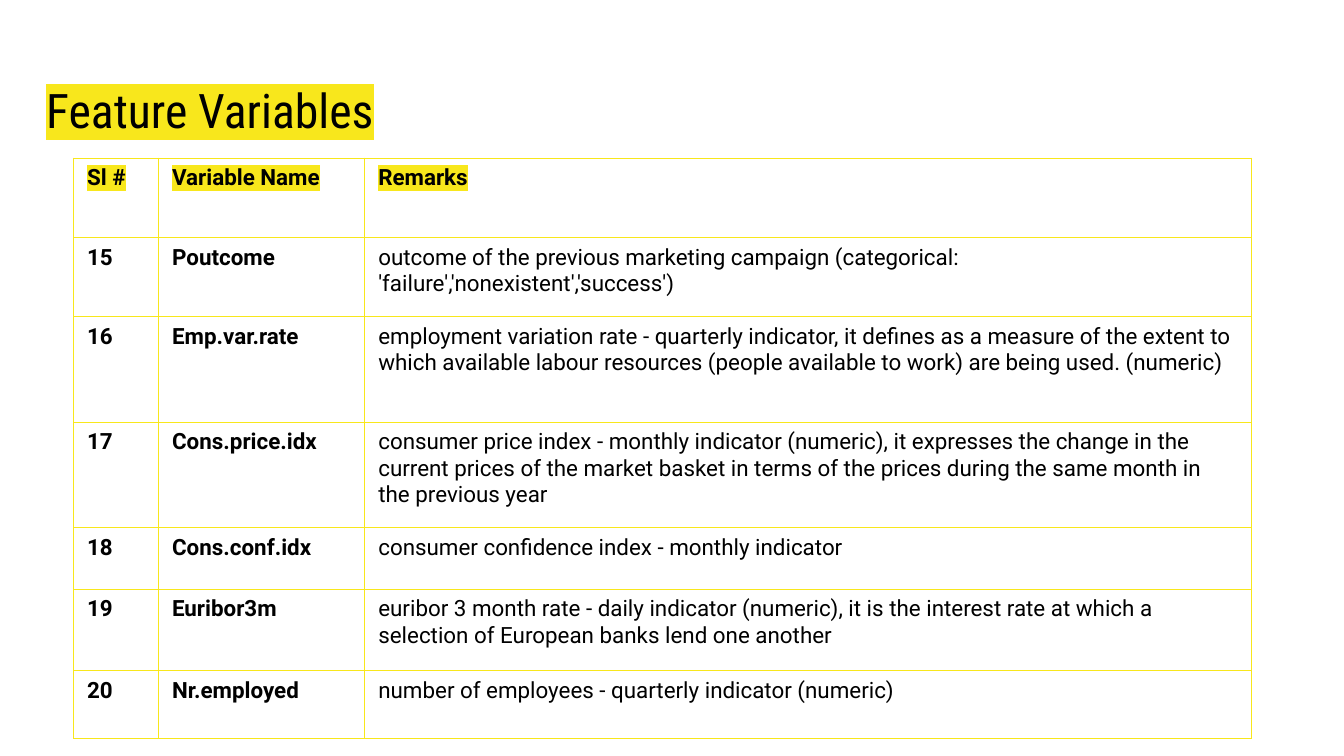
"""Build the Feature Variables slide with its table of remarks."""
from dataclasses import dataclass
from typing import NamedTuple

from lxml.etree import SubElement
from pptx import Presentation
from pptx.dml.color import RGBColor
from pptx.enum.text import MSO_ANCHOR, MSO_AUTO_SIZE, PP_ALIGN
from pptx.oxml.ns import qn
from pptx.slide import Slide
from pptx.table import _Cell
from pptx.text.text import _Paragraph
from pptx.util import Pt


@dataclass(frozen=True)
class Theme:
    ink: str = "000000"
    accent: str = "F8E71C"
    title_font: str = "Roboto Condensed"
    body_font: str = "Roboto"
    title_size: float = 25.5
    body_size: float = 12
    border_width: float = 0.75


class Feature(NamedTuple):
    number: str
    name: str
    remarks: str
    height: float


THEME = Theme()
COLUMN_WIDTHS = (45.5, 110.5, 475)
TABLE_LEFT, TABLE_TOP = 39.5, 84.75
FEATURES = (
    Feature("Sl #", "Variable Name", "Remarks", 42.5),
    Feature("15", "Poutcome",
            "outcome of the previous marketing campaign (categorical: "
            "'failure','nonexistent','success')", 42.5),
    Feature("16", "Emp.var.rate",
            "employment variation rate - quarterly indicator, it defines as a measure "
            "of the extent to which available labour resources (people available to "
            "work) are being used. (numeric)", 56.5),
    Feature("17", "Cons.price.idx",
            "consumer price index - monthly indicator (numeric), it expresses the "
            "change in the current prices of the market basket in terms of the prices "
            "during the same month in the previous year", 56.5),
    Feature("18", "Cons.conf.idx", "consumer confidence index - monthly indicator", 33),
    Feature("19", "Euribor3m",
            "euribor 3 month rate - daily indicator (numeric), it is the interest rate "
            "at which a selection of European banks lend one another", 43.5),
    Feature("20", "Nr.employed", "number of employees - quarterly indicator (numeric)", 36.5),
)


def format_text(paragraph: _Paragraph, font_name: str, size: float,
                bold: bool, highlighted: bool) -> None:
    """Style every run of a left-aligned paragraph."""
    paragraph.alignment = PP_ALIGN.LEFT
    for run in paragraph.runs:
        run.font.size = Pt(size)
        run.font.bold = bold
        run.font.color.rgb = RGBColor.from_string(THEME.ink)
        run.font.name = font_name
        if highlighted:
            properties = run.font._element
            highlight = SubElement(properties, qn("a:highlight"))
            SubElement(highlight, qn("a:srgbClr"), val=THEME.accent)
            properties.find(qn("a:latin")).addprevious(highlight)


def draw_borders(cell: _Cell) -> None:
    """Outline all four sides of a cell."""
    properties = cell._tc.get_or_add_tcPr()
    for position, side in enumerate(("lnL", "lnR", "lnT", "lnB")):
        border = SubElement(properties, qn(f"a:{side}"), w=str(Pt(THEME.border_width)))
        fill = SubElement(border, qn("a:solidFill"))
        SubElement(fill, qn("a:srgbClr"), val=THEME.accent)
        properties.insert(position, border)


def add_title(slide: Slide, heading: str) -> None:
    """Place and style the slide heading."""
    title = slide.shapes.title
    title.left, title.top, title.width, title.height = Pt(24.75), Pt(35.5), Pt(671), Pt(45.5)
    frame = title.text_frame
    frame.text = heading
    frame.word_wrap = True
    frame.auto_size = MSO_AUTO_SIZE.NONE
    frame.vertical_anchor = MSO_ANCHOR.BOTTOM
    frame.margin_left = frame.margin_right = Pt(0)
    frame.margin_top = frame.margin_bottom = Pt(7.2)
    format_text(frame.paragraphs[0], THEME.title_font, THEME.title_size, False, True)


def add_feature_table(slide: Slide, features: tuple[Feature, ...]) -> None:
    """Draw the feature rows under a highlighted header."""
    table = slide.shapes.add_table(
        len(features), len(COLUMN_WIDTHS), Pt(TABLE_LEFT), Pt(TABLE_TOP),
        Pt(sum(COLUMN_WIDTHS)), Pt(sum(feature.height for feature in features)),
    ).table
    table.first_row = table.horz_banding = False
    for column, width in zip(table.columns, COLUMN_WIDTHS):
        column.width = Pt(width)
    for row_index, feature in enumerate(features):
        table.rows[row_index].height = Pt(feature.height)
        is_header = row_index == 0
        for column_index, wording in enumerate(feature[:3]):
            cell = table.cell(row_index, column_index)
            cell.text_frame.text = wording
            cell.margin_left = cell.margin_right = Pt(7.2)
            cell.margin_top = cell.margin_bottom = Pt(3.6)
            cell.vertical_anchor = MSO_ANCHOR.TOP
            cell.fill.background()
            draw_borders(cell)
            format_text(cell.text_frame.paragraphs[0], THEME.body_font, THEME.body_size,
                        is_header or column_index < 2, is_header)


def main() -> None:
    """Build and save the presentation."""
    presentation = Presentation()
    presentation.slide_width, presentation.slide_height = Pt(720), Pt(405)
    slide = presentation.slides.add_slide(presentation.slide_layouts[5])
    add_title(slide, "Feature Variables")
    add_feature_table(slide, FEATURES)
    presentation.save("out.pptx")


if __name__ == "__main__":
    main()
